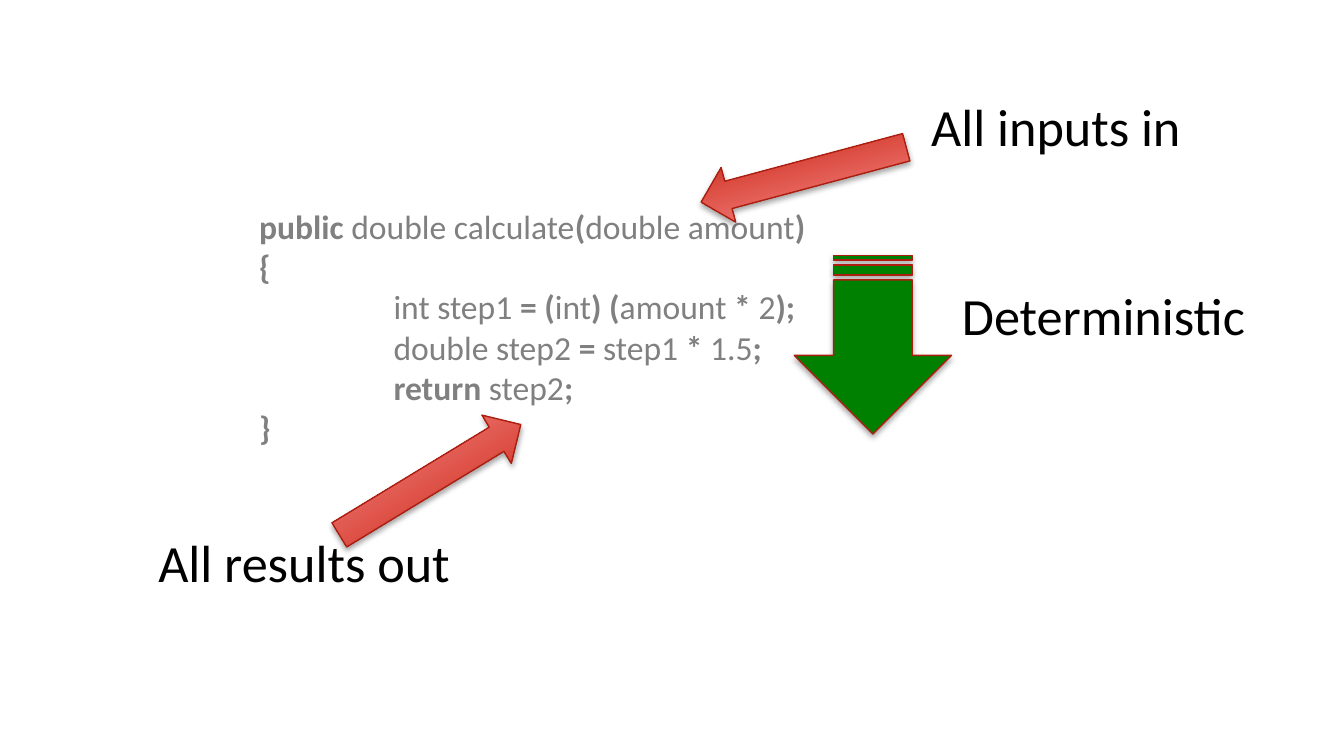
"""Build a slide that annotates a pure function's inputs, steps and results."""
from dataclasses import dataclass

from lxml.etree import SubElement
from pptx import Presentation
from pptx.dml.color import RGBColor
from pptx.enum.shapes import MSO_SHAPE as Preset
from pptx.enum.text import MSO_AUTO_SIZE as AutoSize, PP_ALIGN as Align
from pptx.oxml.ns import qn
from pptx.util import Inches, Pt

FONT = "Calibri"
BOLD_MARK = "|"
OUTLINE = "AC1E10"
RED_GRADIENT = ("C01200", "FF9A99")
SLIDE_WIDTH = Inches(10)
CODE_LINES = (
    "|public| double calculate|(|double amount|)|",
    "|{|",
    "\tint step1 |= (|int|) (|amount |*| 2|);|",
    "\tdouble step2 |=| step1 |*| 1.5|;|",
    "\t|return| step2|;|",
    "|}|",
)


@dataclass(frozen=True)
class Box:
    left: float
    top: float
    width: float
    height: float

    def lengths(self) -> list[Inches]:
        """Return the box's edges as slide lengths."""
        return [Inches(n) for n in (self.left, self.top, self.width, self.height)]


@dataclass(frozen=True)
class Arrow:
    box: Box
    rotation: float
    preset: Preset
    fills: tuple[str, ...]


@dataclass(frozen=True)
class Note:
    box: Box
    lines: tuple[str, ...]
    size: int = 28
    ink: str = "000000"
    wrap: bool = False
    align: Align = Align.LEFT


STEPS_ARROW = Arrow(Box(5.83, 1.98, 1.33, 1.17), 90, Preset.STRIPED_RIGHT_ARROW, ("008000",))
CODE = Note(Box(1.83, 1.48, 5, 1.92), CODE_LINES, 18, "808080", True)
INPUT_ARROW = Arrow(Box(5.19, 1.09, 1.58, 0.42), 165, Preset.RIGHT_ARROW, RED_GRADIENT)
RESULT_ARROW = Arrow(Box(2.41, 3.36, 1.58, 0.42), 328.7, Preset.RIGHT_ARROW, RED_GRADIENT)
RESULT_NOTE = Note(Box(1.08, 3.9, 2.4, 0.57), ("All results out",))
INPUT_NOTE = Note(Box(6.83, 0.65, 2.08, 0.57), ("All inputs in",))
STEPS_NOTE = Note(Box(7.04, 2.06, 2.34, 0.57), ("Deterministic",), align=Align.CENTER)


def color(hex_code: str) -> RGBColor:
    """Turn a hex string into a colour."""
    return RGBColor.from_string(hex_code)


def apply_format(target, values: dict) -> None:
    """Set each named attribute on the target."""
    for name, value in values.items():
        setattr(target, name, value)


def add_shadow(shape) -> None:
    """Give the shape a soft shadow just below it."""
    shape.shadow.inherit = False
    effects = shape._element.spPr.find(qn("a:effectLst"))
    shadow = SubElement(effects, qn("a:outerShdw"), blurRad=str(Pt(3.1)),
                        dist=str(Pt(1.8)), dir="5400000", rotWithShape="0")
    tint = SubElement(shadow, qn("a:srgbClr"), val="000000")
    SubElement(tint, qn("a:alpha"), val="35000")


def draw_arrow(slide, arrow: Arrow) -> None:
    """Draw a rotated block arrow with a solid or gradient fill."""
    shape = slide.shapes.add_shape(arrow.preset, *arrow.box.lengths())
    shape.rotation = arrow.rotation
    if len(arrow.fills) == 1:
        shape.fill.solid()
        shape.fill.fore_color.rgb = color(arrow.fills[0])
    else:
        shape.fill.gradient()
        shape.fill.gradient_angle = 90
        for position, (stop, tint) in enumerate(zip(shape.fill.gradient_stops, arrow.fills)):
            stop.position = position
            stop.color.rgb = color(tint)
    shape.line.color.rgb = color(OUTLINE)
    shape.line.width = Pt(0.75)
    add_shadow(shape)


def draw_note(slide, note: Note) -> None:
    """Write the lines, with marked parts in bold and tabs one inch wide."""
    frame = slide.shapes.add_textbox(*note.box.lengths()).text_frame
    apply_format(frame, {"word_wrap": note.wrap, "auto_size": AutoSize.SHAPE_TO_FIT_TEXT})
    for number, line in enumerate(note.lines):
        paragraph = frame.add_paragraph() if number else frame.paragraphs[0]
        paragraph.alignment = note.align
        paragraph._p.get_or_add_pPr().set("defTabSz", str(Inches(1)))
        for position, part in enumerate(line.split(BOLD_MARK)):
            if part:
                run = paragraph.add_run()
                run.text = part
                apply_format(run.font, {"name": FONT, "size": Pt(note.size),
                                        "bold": position % 2 == 1})
                run.font.color.rgb = color(note.ink)


def main() -> None:
    """Build and save the slide."""
    deck = Presentation()
    apply_format(deck, {"slide_width": SLIDE_WIDTH, "slide_height": SLIDE_WIDTH * 9 // 16})
    slide = deck.slides.add_slide(deck.slide_layouts.get_by_name("Blank"))
    draw_arrow(slide, STEPS_ARROW)
    draw_note(slide, CODE)
    for arrow in (INPUT_ARROW, RESULT_ARROW):
        draw_arrow(slide, arrow)
    for note in (RESULT_NOTE, INPUT_NOTE, STEPS_NOTE):
        draw_note(slide, note)
    deck.save("out.pptx")


if __name__ == "__main__":
    main()
